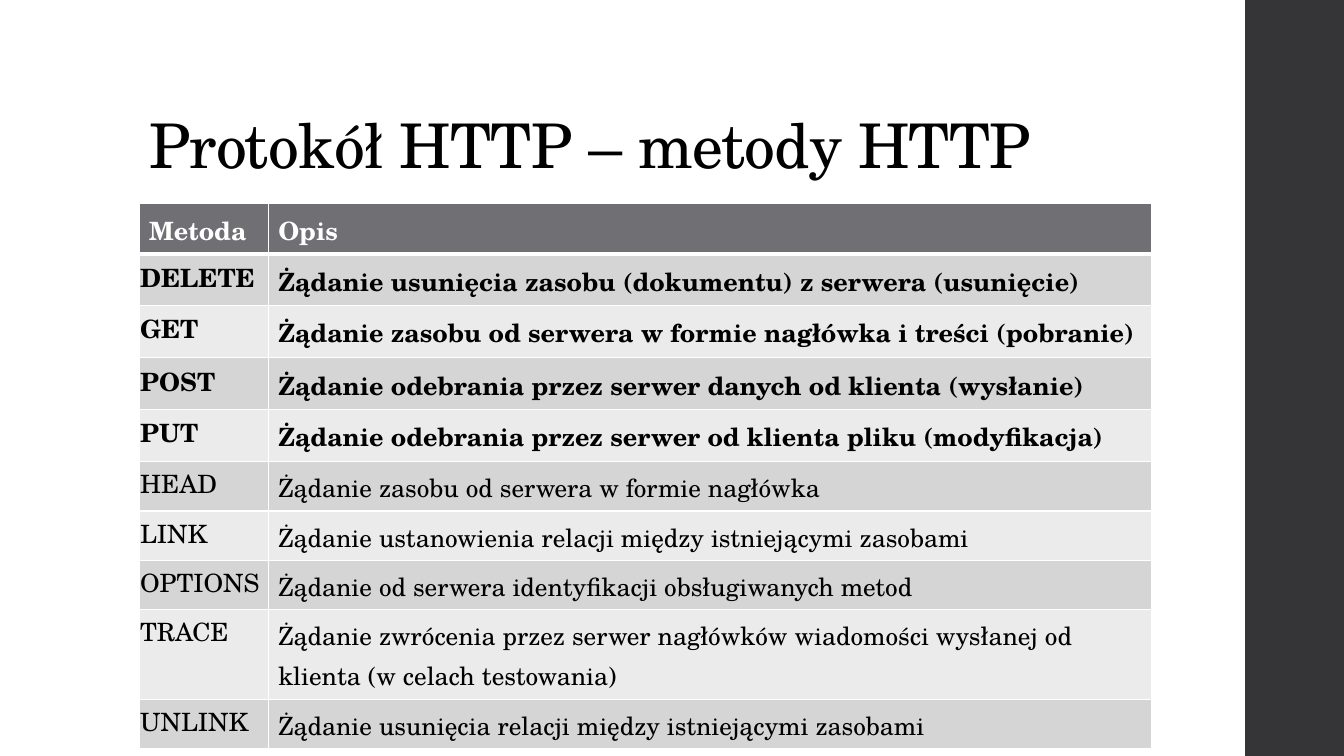
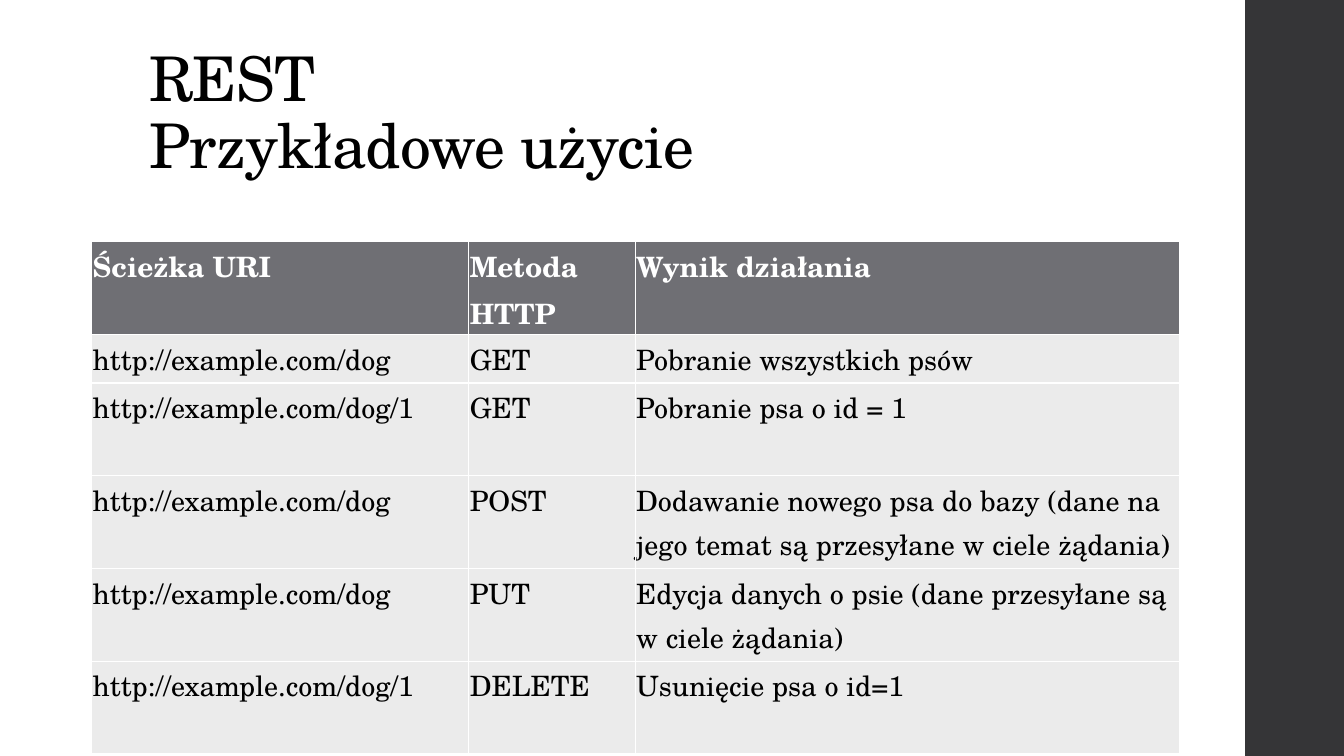
from lxml.etree import SubElement
from pptx import Presentation
from pptx.dml.color import RGBColor
from pptx.enum.shapes import MSO_SHAPE as Shape
from pptx.enum.text import MSO_ANCHOR as Anchor
from pptx.oxml.ns import qn
from pptx.util import Inches, Pt

FONT = "TeX Gyre Schola"
BLACK, WHITE, BAND = "000000", "FFFFFF", "353537"
HEAD, DARK, LIGHT = "6F6F74", "D5D5D6", "EBEBEB"
WIDE, HIGH = 13.33, 7.5
WIDE_PAD, THIN_PAD = (0.1, 0.05, 0.1, 0.05), (0.01, 0.01, 0.01, 0.01)
KEY_PAD = (0.01, 0.01, 0.01, 0)

METHODS = [
    ("Metoda", "Opis"),
    ("DELETE", "Żądanie usunięcia zasobu (dokumentu) z serwera (usunięcie)"),
    ("GET", "Żądanie zasobu od serwera w formie nagłówka i treści (pobranie)"),
    ("POST", "Żądanie odebrania przez serwer danych od klienta (wysłanie)"),
    ("PUT", "Żądanie odebrania przez serwer od klienta pliku (modyfikacja)"),
    ("HEAD", "Żądanie zasobu od serwera w formie nagłówka"),
    ("LINK", "Żądanie ustanowienia relacji między istniejącymi zasobami"),
    ("OPTIONS", "Żądanie od serwera identyfikacji obsługiwanych metod"),
    ("TRACE", "Żądanie zwrócenia przez serwer nagłówków wiadomości wysłanej od "
              "klienta (w celach testowania)"),
    ("UNLINK", "Żądanie usunięcia relacji między istniejącymi zasobami"),
]
DOGS = "http://example.com/dog"
CALLS = [
    ("Ścieżka URI", "Metoda HTTP", "Wynik działania"),
    (DOGS, "GET", "Pobranie wszystkich psów"),
    (DOGS + "/1", "GET", "Pobranie psa o id = 1"),
    (DOGS, "POST", "Dodawanie nowego psa do bazy (dane na jego temat są "
                   "przesyłane w ciele żądania)"),
    (DOGS, "PUT", "Edycja danych o psie (dane przesyłane są w ciele żądania)"),
    (DOGS + "/1", "DELETE", "Usunięcie psa o id=1"),
]
# fills: the body colours in turn; bold: rows set bold from the top;
# rule: points of the line under the head; pads: head, first column, the rest
SLIDES = [
    dict(title="Protokół HTTP – metody HTTP", rows=METHODS, at=(1.38, 2.02),
         cols=[1.28, 8.76], size=18,
         highs=[0.5, 0.51, 0.52, 0.51, 0.52] + [0.49] * 3 + [0.89, 0.49],
         fills=[DARK, LIGHT], bold=5, rule=3,
         pads=(WIDE_PAD, KEY_PAD, WIDE_PAD)),
    dict(title="REST\vPrzykładowe użycie", rows=CALLS, at=(0.91, 2.39),
         cols=[3.74, 1.65, 5.4], highs=[0.93, 0.48] + [0.92] * 4, size=20,
         fills=[LIGHT], bold=1, rule=1,
         pads=(THIN_PAD, THIN_PAD, THIN_PAD)),
]


def paint(fill, tone):
    """Give a fill one solid colour."""
    fill.solid()
    fill.fore_color.rgb = RGBColor.from_string(tone)


def style(para, size, tone, bold=False, gap=1.07, after=8):
    """Format a paragraph and its runs."""
    para.line_spacing, para.space_after = gap, Pt(after)
    for run in para.runs:
        font = run.font
        font.name, font.size, font.bold = FONT, Pt(size), bold
        paint(font.fill, tone)


def edge(cell, side, width):
    """Draw one white cell border."""
    line = SubElement(cell._tc.get_or_add_tcPr(), qn("a:ln" + side),
                      w=str(Pt(width)))
    fill = SubElement(line, qn("a:solidFill"))
    SubElement(fill, qn("a:srgbClr"), val=WHITE)


def add_band(slide):
    """Add the dark band at the right."""
    band = slide.shapes.add_shape(Shape.RECTANGLE, Inches(12.35), 0,
                                  Inches(1), Inches(HIGH))
    band.shadow.inherit = False
    paint(band.fill, BAND)
    band.line.fill.background()


def add_title(slide, text):
    """Add the slide title, resting on its lower edge."""
    box = slide.shapes.add_textbox(*map(Inches, (1.38, 0.4, 10.6, 1.45)))
    frame = box.text_frame
    frame.word_wrap, frame.vertical_anchor = True, Anchor.BOTTOM
    para = frame.paragraphs[0]
    para.text = text
    style(para, 44, BLACK, gap=0.9, after=0)
    for run in para.runs:
        run.font._element.set("spc", "-50")


def fill_cell(cell, text, row, col, plan):
    """Write and format one table cell."""
    head = row == 0
    tops = plan["rule"] if row == 1 else 1
    lows = plan["rule"] if head else 1
    for side, width in zip("LRTB", (1, 1, tops, lows)):
        edge(cell, side, width)
    fills = plan["fills"]
    paint(cell.fill, HEAD if head else fills[(row - 1) % len(fills)])
    pad = plan["pads"][0 if head else 1 if col == 0 else 2]
    (cell.margin_left, cell.margin_top,
     cell.margin_right, cell.margin_bottom) = map(Inches, pad)
    para = cell.text_frame.paragraphs[0]
    para.text = text
    style(para, plan["size"], WHITE if head else BLACK, row < plan["bold"])


def add_grid(slide, plan):
    """Add the table of a slide."""
    rows, cols, highs = plan["rows"], plan["cols"], plan["highs"]
    left, top = plan["at"]
    place = map(Inches, (left, top, sum(cols), sum(highs)))
    grid = slide.shapes.add_table(len(rows), len(cols), *place).table
    for col, width in zip(grid.columns, cols):
        col.width = Inches(width)
    for row, high in zip(grid.rows, highs):
        row.height = Inches(high)
    for r, texts in enumerate(rows):
        for c, text in enumerate(texts):
            fill_cell(grid.cell(r, c), text, r, c, plan)


deck = Presentation()
deck.slide_width, deck.slide_height = Inches(WIDE), Inches(HIGH)
for plan in SLIDES:
    slide = deck.slides.add_slide(deck.slide_layouts[6])
    paint(slide.background.fill, WHITE)
    add_band(slide)
    add_title(slide, plan["title"])
    add_grid(slide, plan)
deck.save("out.pptx")
